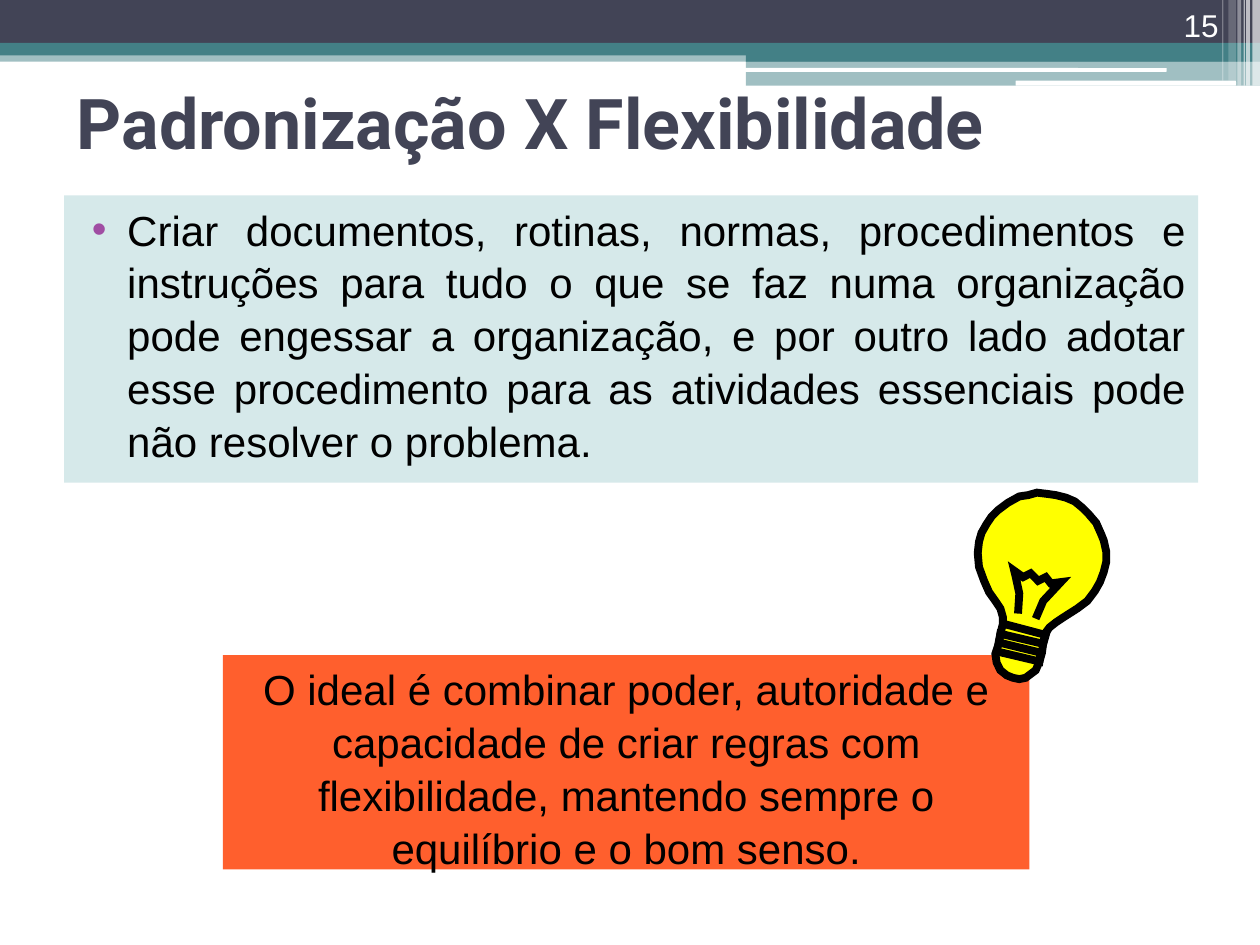
from lxml.etree import SubElement
from pptx import Presentation
from pptx.dml.color import RGBColor as RGB
from pptx.enum.shapes import MSO_SHAPE as Form
from pptx.enum.text import MSO_ANCHOR as Anchor, MSO_AUTO_SIZE as Fit, PP_ALIGN as Align
from pptx.oxml.ns import qn
from pptx.util import Inches, Pt

HUE = {
    "navy": "424456", "teal": "438086", "white": "FFFFFF", "black": "000000",
    "mint": "D6E9EA", "orange": "FF5F2D", "yellow": "FFFF00", "plum": "A04DA3",
}
COLS, ROWS = 100, 75
BANDS = [
    (0, 4, 100, 0.9, "teal", 50), (0, 0, 100, 3.4, "navy", 100),
    (0, 3.4, 100, 1, "teal", 100), (59.2, 3.9, 40.8, 1, "teal", 100),
    (59.2, 4.8, 40.8, 2, "teal", 50),
]
PILLS = [(59.1, 5.4, 33.5, 0.3), (80.6, 6.4, 17.5, 0.4)]
STRIPES = [
    (99.4, 0.6, 6.8, 65), (98.9, 0.3, 6.8, 65), (98.7, 0.1, 6.8, 60),
    (98.2, 0.3, 6.8, 40), (97.5, 0.6, 6.4, 20), (97, 0.1, 6.4, 30),
]
GLASS = [
    (28, 147), (33, 148), (38, 147), (42, 144), (46, 141), (49, 134), (51, 127),
    (52, 119), (54, 111), (57, 107), (62, 103), (68, 99), (79, 92), (87, 86),
    (93, 78), (97, 71), (100, 63), (102, 55), (102, 47), (100, 38), (98, 33),
    (94, 24), (88, 17), (83, 12), (77, 7), (70, 4), (62, 2), (55, 1), (47, 0),
    (40, 2), (33, 3), (24, 8), (16, 14), (11, 19), (7, 25), (3, 32), (1, 39),
    (0, 48), (1, 59), (5, 70), (9, 79), (14, 86), (18, 92), (20, 99), (20, 104),
    (18, 112), (16, 122), (14, 128), (15, 135), (18, 141), (23, 145),
]
WIRE = [
    (32, 96), (33, 80), (30, 66), (29, 62), (36, 67), (42, 64), (48, 70),
    (54, 67), (58, 72), (66, 71), (52, 86), (46, 100),
]
SCREW = [
    (20, 104), (54, 113), (52, 120), (18, 112),
    (17, 119), (50, 127), (49, 134), (15, 126),
]

deck = Presentation()
deck.slide_width, deck.slide_height = Inches(10), Inches(7.5)
slide = deck.slides.add_slide(deck.slide_layouts[1])
shapes = slide.shapes


def scale(box):
    w, h = deck.slide_width / COLS, deck.slide_height / ROWS
    return [round(v * u) for v, u in zip(box, (w, h, w, h))]


def style(item, **vals):
    for key, val in vals.items():
        setattr(item, key, val)


def place(item, box):
    style(item, **dict(zip(("left", "top", "width", "height"), scale(box))))


def paint(fill, hue, alpha=100):
    fill.solid()
    fill.fore_color.rgb = RGB.from_string(HUE[hue])
    if alpha < 100:
        node = fill._xPr.find(qn("a:solidFill"))[0]
        SubElement(node, qn("a:alpha"), val=str(alpha * 1000))


def block(box, hue, alpha=100, form=Form.RECTANGLE):
    item = shapes.add_shape(form, *scale(box))
    item.shadow.inherit = False
    paint(item.fill, hue, alpha)
    item.line.fill.background()
    return item


def write(item, text, size, hue, align, face="Arial", bold=False,
          anchor=Anchor.TOP, lead=1.05):
    frame = item.text_frame
    style(frame, text=text, word_wrap=True, auto_size=Fit.NONE, vertical_anchor=anchor)
    para = frame.paragraphs[0]
    style(para, alignment=align, line_spacing=lead)
    font = para.runs[0].font
    style(font, name=face, size=Pt(size), bold=bold)
    font.color.rgb = RGB.from_string(HUE[hue])
    return para


def header():
    for *box, hue, alpha in BANDS:
        block(box, hue, alpha)
    for box in PILLS:
        block(box, "white", form=Form.ROUNDED_RECTANGLE)
    for left, width, high, alpha in STRIPES:
        block((left, 0, width, high), "white", alpha)


def title(box):
    item = shapes.title
    place(item, box)
    write(item, "Padronização X Flexibilidade", 40, "navy", Align.LEFT,
          "Roboto", True, Anchor.MIDDLE, 1.0)


def body(box):
    item = slide.placeholders[1]
    place(item, box)
    paint(item.fill, "mint")
    para = write(
        item,
        "Criar documentos, rotinas, normas, procedimentos e instruções para tudo o "
        "que se faz numa organização pode engessar a organização, e por outro lado "
        "adotar esse procedimento para as atividades essenciais pode não resolver "
        "o problema.",
        24, "black", Align.JUSTIFY)
    para.space_before = Pt(15)
    props = para._p.get_or_add_pPr()
    props.set("marL", str(Inches(0.4)))
    props.set("indent", str(Inches(-0.28)))
    tint = SubElement(props, qn("a:buClr"))
    SubElement(tint, qn("a:srgbClr"), val=HUE["plum"])
    SubElement(props, qn("a:buFont"), typeface="Arial")
    SubElement(props, qn("a:buChar"), char="•")


def ideal(box):
    write(
        block(box, "orange"),
        "O ideal é combinar poder, autoridade e capacidade de criar regras com "
        "flexibilidade, mantendo sempre o equilíbrio e o bom senso.",
        24, "black", Align.CENTER)


def bulb(box):
    left, top, width, high = scale(box)
    for paths, close in (([GLASS], True), ([WIRE, SCREW], False)):
        pen = None
        for path in paths:
            spots = [(left + x * width / 102, top + y * high / 148) for x, y in path]
            if pen is None:
                pen = shapes.build_freeform(*spots[0])
            else:
                pen.move_to(*spots[0])
            pen.add_line_segments(spots[1:], close=close)
        item = pen.convert_to_shape()
        item.shadow.inherit = False
        if close:
            paint(item.fill, "yellow")
        else:
            item.fill.background()
        paint(item.line.fill, "black")
        item.line.width = Pt(4.5)
        SubElement(item.line._get_or_add_ln(), qn("a:miter"), lim="800000")


def number(box):
    item = shapes.add_textbox(*scale(box))
    write(item, "15", 18, "white", Align.RIGHT, anchor=Anchor.BOTTOM, lead=1.0)


header()
title((5.1, 5.2, 90, 8.9))
body((5.1, 15.5, 90, 22.8))
ideal((17.7, 52, 64, 17))
bulb((77.6, 39.1, 10.2, 14.8))
number((89.4, 0, 8.3, 4))
deck.save("out.pptx")
